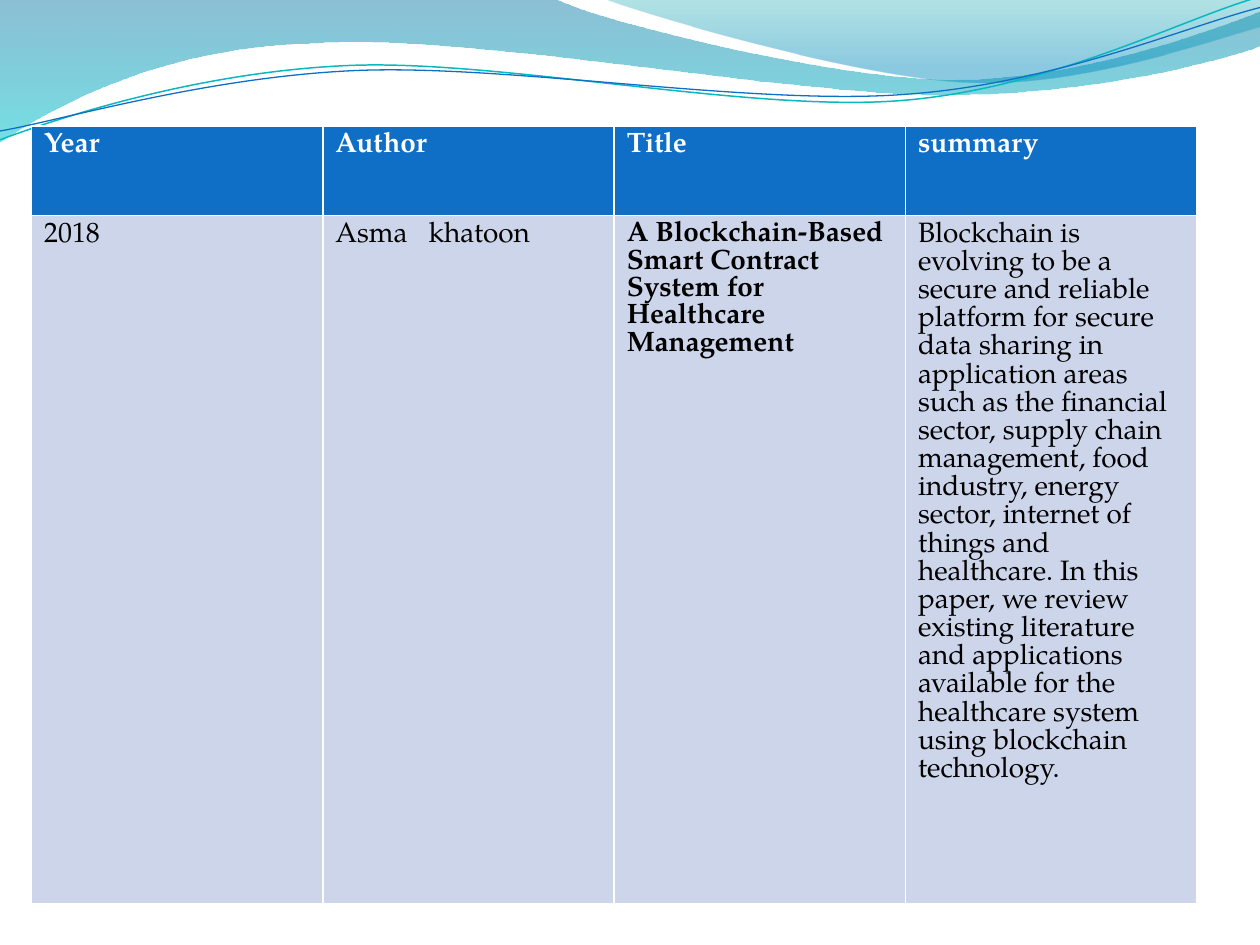
from dataclasses import dataclass
from math import cos, radians, sin

from lxml import etree
from pptx import Presentation
from pptx.dml.color import RGBColor
from pptx.oxml.ns import qn
from pptx.util import Inches, Pt

SLIDE_WIDTH, SLIDE_HEIGHT = 10, 7.5
BLANK_LAYOUT = 6
DOWNWARD = 270
STRAND_ROTATION = 357.3


@dataclass(frozen=True)
class Theme:
    font: str = "TeX Gyre Pagella"
    text_size: float = 16
    header_fill: str = "0F6FC6"
    body_fill: str = "CCD5EA"
    white: str = "FFFFFF"
    black: str = "000000"
    teal_line: str = "0AB8BF"


@dataclass(frozen=True)
class Stop:
    position: float
    color: str
    opacity: int


@dataclass(frozen=True)
class Band:
    """A filled wave; each segment holds one end point or three Bezier points."""
    start: tuple
    segments: tuple
    stops: tuple


@dataclass(frozen=True)
class Strand:
    """A wave line, given as it lies on the slide after turning about its center."""
    start: tuple
    segments: tuple
    center: tuple
    color: str
    width: float


@dataclass(frozen=True)
class TableRow:
    texts: tuple
    bold: tuple
    height: float
    fill: str
    color: str


THEME = Theme()

BANDS = (
    Band((0, 0), (
        ((4.4, -0.01),),
        ((4.76, 0.17), (6.64, 0.63), (7.58, 0.63)),
        ((8.53, 0.63), (9.58, 0.26), (10, 0.09)),
        ((10.01, 0.36),),
        ((9.83, 0.44), (8.7, 0.76), (7.46, 0.75)),
        ((6.22, 0.75), (3.82, 0.28), (2.57, 0.34)),
        ((1.29, 0.36), (0.46, 0.83), (-0.01, 1.13)),
        ((0, 0),),
    ), (Stop(0, "0074A1", 45), Stop(1, "00C6CF", 55))),
    Band((4.79, -0.01), (
        ((5.09, 0.11), (6.82, 0.62), (7.69, 0.65)),
        ((8.56, 0.69), (9.61, 0.32), (10, 0.21)),
        ((10, 0),),
        ((4.79, -0.01),),
    ), (Stop(0, "00A1A9", 30), Stop(0.8, "008BBF", 45))),
)

STRANDS = (
    Strand((0, 1.11), (
        ((0.48, 0.93), (1.58, 0.57), (2.77, 0.52)),
        ((3.95, 0.47), (5.93, 0.89), (7.13, 0.8)),
        ((8.33, 0.71), (9.38, 0.15), (9.98, -0.02)),
    ), (4.99, 0.57), THEME.teal_line, 0.85),
    Strand((0, 1.04), (
        ((0.47, 0.96), (1.64, 0.61), (2.83, 0.56)),
        ((4.03, 0.51), (5.97, 0.84), (7.17, 0.75)),
        ((8.36, 0.67), (9.41, 0.21), (10, 0.06)),
    ), (5, 0.59), THEME.header_fill, 0.75),
)

TABLE_LEFT, TABLE_TOP, TABLE_WIDTH = 0.25, 1, 9.25
TABLE_ROWS = (
    TableRow(("Year", "Author", "Title", "summary"), (True,) * 4, 0.71,
             THEME.header_fill, THEME.white),
    TableRow((
        "2018",
        "Asma   khatoon",
        "A Blockchain-Based Smart Contract System for Healthcare Management",
        "Blockchain is evolving to be a secure and reliable platform for secure data "
        "sharing in application areas such as the financial sector, supply chain "
        "management, food industry, energy sector, internet of things and healthcare. "
        "In this paper, we review existing literature and applications available for "
        "the healthcare system using blockchain technology.",
    ), (False, False, True, False), 5.46, THEME.body_fill, THEME.black),
)


def rgb(color: str) -> RGBColor:
    return RGBColor.from_string(color)


def turn(point: tuple, center: tuple, degrees: float) -> tuple:
    """Turn a point clockwise about a center."""
    angle = radians(degrees)
    across, down = point[0] - center[0], point[1] - center[1]
    return (center[0] + across * cos(angle) - down * sin(angle),
            center[1] + across * sin(angle) + down * cos(angle))


def add_outline(page, start: tuple, segments: tuple, close: bool):
    """Draw the end points as a freeform, then bend its curved segments."""
    builder = page.shapes.build_freeform(Inches(start[0]), Inches(start[1]))
    ends = [segment[-1] for segment in segments]
    builder.add_line_segments([(Inches(x), Inches(y)) for x, y in ends], close=close)
    shape = builder.convert_to_shape()
    shape.shadow.inherit = False
    lines = list(shape._element.iter(qn("a:lnTo")))
    for line, segment in zip(lines, segments):
        if len(segment) == 1:
            continue
        curve = etree.Element(qn("a:cubicBezTo"))
        for x, y in segment:
            etree.SubElement(curve, qn("a:pt"), x=str(Inches(x) - shape.left),
                             y=str(Inches(y) - shape.top))
        line.getparent().replace(line, curve)
    return shape


def add_band(page, band: Band) -> None:
    shape = add_outline(page, band.start, band.segments, close=True)
    shape.line.fill.background()
    shape.fill.gradient()
    shape.fill.gradient_angle = DOWNWARD
    for gradient_stop, stop in zip(shape.fill.gradient_stops, band.stops):
        gradient_stop.position = stop.position
        gradient_stop.color.rgb = rgb(stop.color)
    colors = shape._element.spPr.iter(qn("a:srgbClr"))
    for color, stop in zip(colors, band.stops):
        etree.SubElement(color, qn("a:alpha"), val=str(stop.opacity * 1000))


def add_strand(page, strand: Strand) -> None:
    def level(point: tuple) -> tuple:
        return turn(point, strand.center, -STRAND_ROTATION)

    segments = tuple(tuple(map(level, segment)) for segment in strand.segments)
    shape = add_outline(page, level(strand.start), segments, close=False)
    shape.rotation = STRAND_ROTATION
    shape.fill.background()
    shape.line.color.rgb = rgb(strand.color)
    shape.line.width = Pt(strand.width)


def fill_cell(cell, text: str, bold: bool, row: TableRow) -> None:
    cell.text = text
    cell.fill.solid()
    cell.fill.fore_color.rgb = rgb(row.fill)
    font = cell.text_frame.paragraphs[0].font
    font.name, font.size, font.bold = THEME.font, Pt(THEME.text_size), bold
    font.color.rgb = rgb(row.color)


def add_literature_table(page) -> None:
    height = sum(row.height for row in TABLE_ROWS)
    table = page.shapes.add_table(
        len(TABLE_ROWS), len(TABLE_ROWS[0].texts), Inches(TABLE_LEFT),
        Inches(TABLE_TOP), Inches(TABLE_WIDTH), Inches(height)).table
    for table_row, row in zip(table.rows, TABLE_ROWS):
        table_row.height = Inches(row.height)
        for cell, text, bold in zip(table_row.cells, row.texts, row.bold):
            fill_cell(cell, text, bold, row)


def main() -> None:
    deck = Presentation()
    deck.slide_width, deck.slide_height = Inches(SLIDE_WIDTH), Inches(SLIDE_HEIGHT)
    page = deck.slides.add_slide(deck.slide_layouts[BLANK_LAYOUT])
    for band in BANDS:
        add_band(page, band)
    for strand in STRANDS:
        add_strand(page, strand)
    add_literature_table(page)
    deck.save("out.pptx")


if __name__ == "__main__":
    main()
